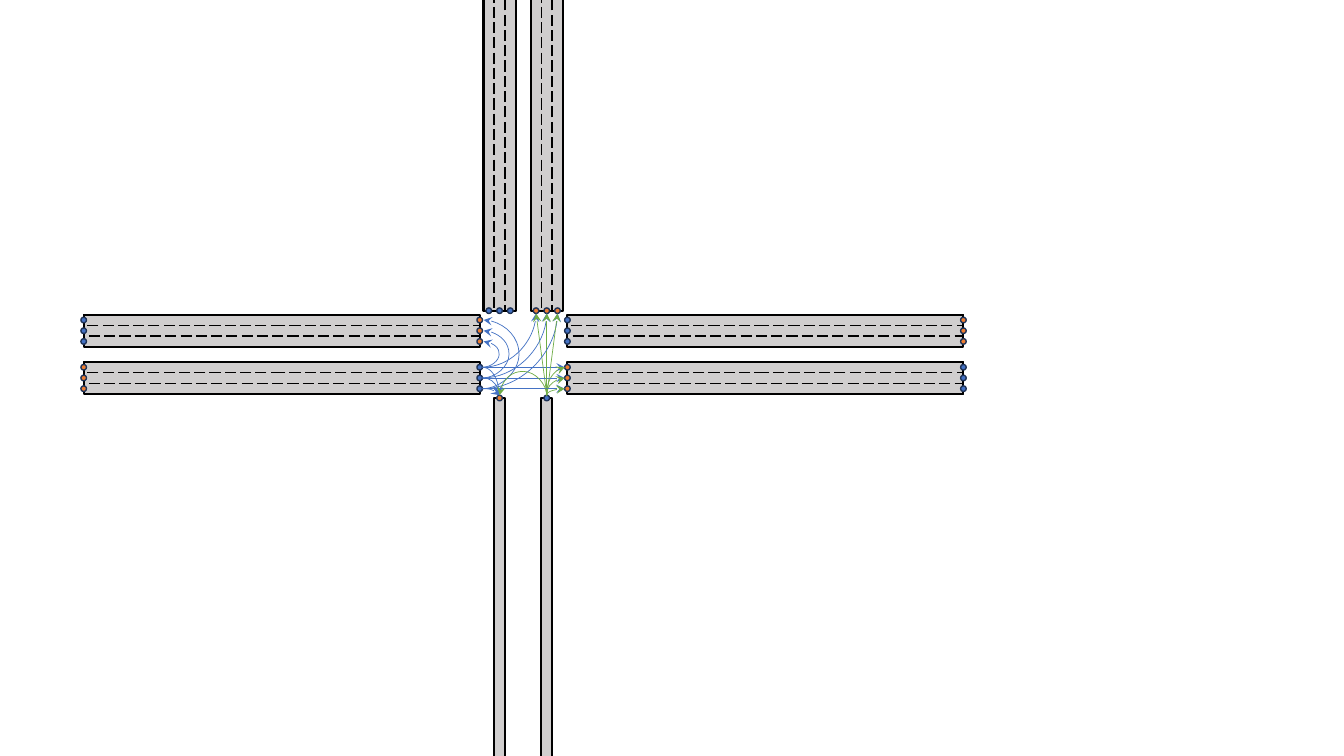
from dataclasses import dataclass

from lxml import etree
from pptx import Presentation
from pptx import util as u
from pptx.dml import color
from pptx.enum import dml, shapes
from pptx.oxml import ns


@dataclass(frozen=True)
class Theme:
    road: str = "D0CECE"
    edge: str = "000000"
    out: str = "4472C4"
    into: str = "ED7D31"
    rim: str = "1E3256"
    west: str = "4472C4"
    south: str = "70AD47"


LANE, SPAN, DOT = 0.27, 9.98, 0.14
SOLID = {"width": u.Pt(1.5)}
DASHED = {"width": u.Pt(1), "dash_style": dml.MSO_LINE.LONG_DASH}
THIN = {"width": u.Pt(1)}
FINE = {"width": u.Pt(0.5)}


class Sketch:
    def __init__(self, slide, theme):
        self.slide, self.theme = slide, theme

    def pen(self, line, tint, style):
        line.color.rgb = color.RGBColor.from_string(tint)
        for key, value in style.items():
            setattr(line, key, value)

    def box(self, group, kind, frame, fill, tint, style):
        shape = group.shapes.add_shape(kind, *map(u.Cm, frame))
        shape.shadow.inherit = False
        if fill:
            shape.fill.solid()
            shape.fill.fore_color.rgb = color.RGBColor.from_string(fill)
        else:
            shape.fill.background()
        self.pen(shape.line, tint, style)

    def road(self, x, y, lanes, ends, tall=False):
        theme, group = self.theme, self.slide.shapes.add_group_shape()

        def strip(start, count, fill, style):
            wide = count * LANE
            frame = (x + start * LANE, y, wide, SPAN) if tall else (x, y + start * LANE, SPAN, wide)
            self.box(group, shapes.MSO_SHAPE.RECTANGLE, frame, fill, theme.edge, style)

        strip(0, lanes, theme.road, SOLID)
        if lanes > 1:
            strip(0, 1, None, DASHED)
            strip(lanes - 1, 1, None, DASHED)
        for along, fill in ends.items():
            for lane in range(lanes):
                side = (lane + 0.5) * LANE
                mid = (x + side, y + along) if tall else (x + along, y + side)
                frame = (mid[0] - DOT / 2, mid[1] - DOT / 2, DOT, DOT)
                self.box(group, shapes.MSO_SHAPE.OVAL, frame, fill, theme.rim, THIN)

    def arrow(self, start, end, tint, form=None, turn=0, bulge=None):
        mid = [(a + b) / 2 for a, b in zip(start, end)]

        def unturn(point):
            dx, dy = point[0] - mid[0], point[1] - mid[1]
            dx, dy = {0: (dx, dy), 90: (dy, -dx), 270: (-dy, dx)}[turn]
            return mid[0] + dx, mid[1] + dy

        head, tip = unturn(start), unturn(end)
        kind = shapes.MSO_CONNECTOR.CURVE if form else shapes.MSO_CONNECTOR.STRAIGHT
        link = self.slide.shapes.add_connector(kind, *map(u.Cm, head + tip))
        link.rotation = turn
        self.pen(link.line, tint, FINE)
        props = link._element.spPr
        etree.SubElement(props.find(ns.qn("a:ln")), ns.qn("a:tailEnd"), type="stealth")
        etree.SubElement(props, ns.qn("a:effectLst"))
        if form:
            geom = props.find(ns.qn("a:prstGeom"))
            geom.set("prst", form)
            if bulge:
                ratio = round(bulge / (tip[0] - head[0]) * 100000)
                etree.SubElement(geom.find(ns.qn("a:avLst")), ns.qn("a:gd"),
                                 name="adj1", fmla=f"val {ratio}")


def main():
    deck = Presentation()
    deck.slide_width, deck.slide_height = u.Cm(33.87), u.Cm(19.05)
    theme = Theme()
    sketch = Sketch(deck.slides.add_slide(deck.slide_layouts[6]), theme)
    out, into = theme.out, theme.into

    left, right, high, low = 2.11, 14.3, 7.93, 9.12
    down, up, north, south = 12.59, 13.78, 7.83, 10.03

    for x in (left, right):
        sketch.road(x, low, 3, {SPAN: out, 0: into})
        sketch.road(x, high, 3, {SPAN: into, 0: out})
    for mid, top, base in ((down, out, into), (up, into, out)):
        sketch.road(mid - 1.5 * LANE, north - SPAN, 3, {SPAN: top}, tall=True)
        sketch.road(mid - LANE / 2, south, 1, {0: base}, tall=True)

    gap = DOT / 2
    west, east = left + SPAN + gap, right - gap
    top, base = north + gap, south - gap
    bend, loop = "curvedConnector2", "curvedConnector3"
    for lane in range(3):
        y = low + (lane + 0.5) * LANE
        back = high + (2.5 - lane) * LANE
        x = up + (lane - 1) * LANE
        start, source = (west, y), (up, base)
        sketch.arrow(start, (x, top), theme.west, bend)
        sketch.arrow(start, (east, y), theme.west)
        sketch.arrow(start, (west + 0.03, back), theme.west, loop, bulge=0.42 + 0.25 * lane)
        sketch.arrow(start, (down, base), theme.west, bend)
        sketch.arrow(source, (x, top), theme.south)
        sketch.arrow(source, (east, y), theme.south, bend, turn=90)
    sketch.arrow((up, base + 0.03), (down, base), theme.south, loop, turn=270, bulge=0.63)

    deck.save("out.pptx")


if __name__ == "__main__":
    main()
